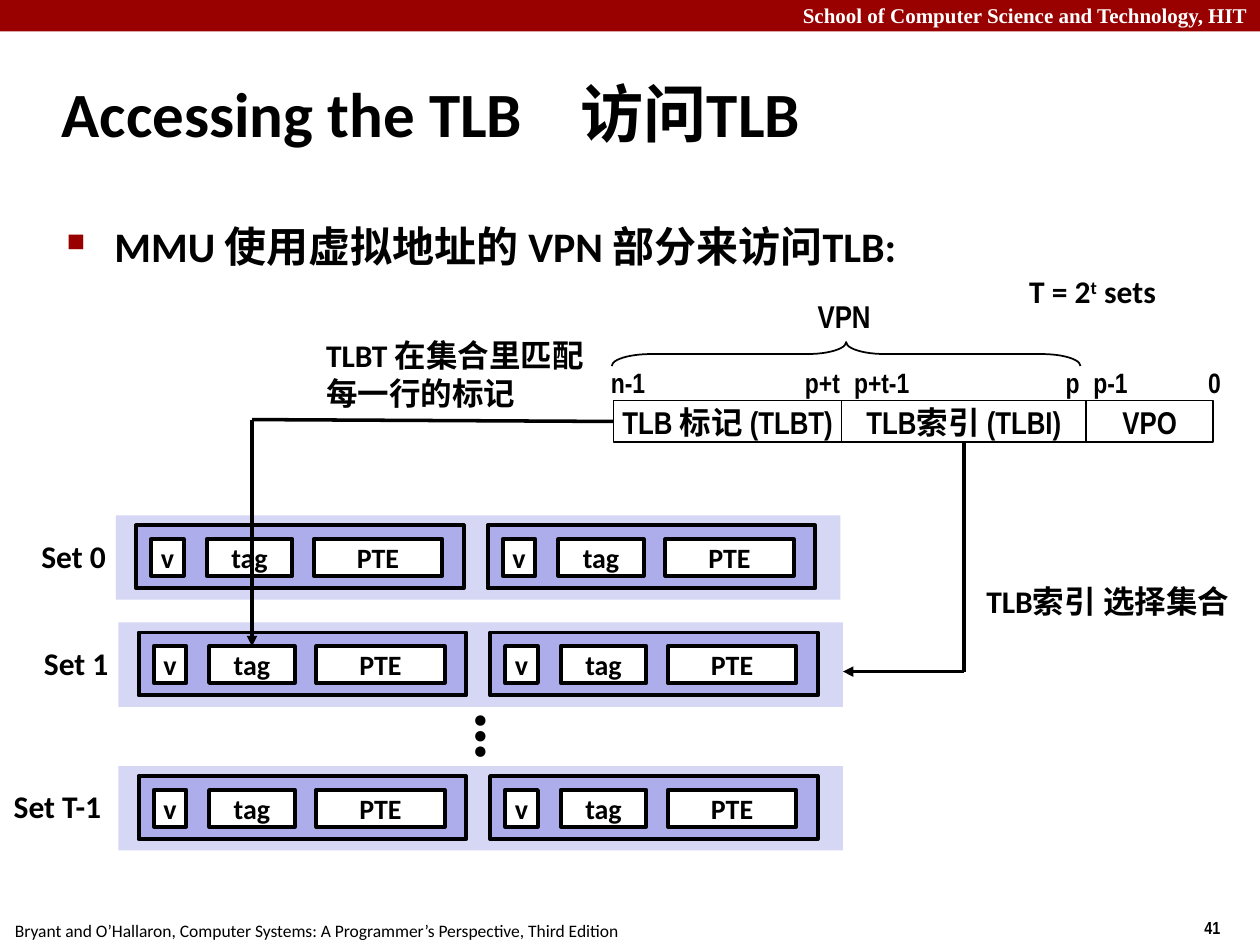
from itertools import accumulate
from lxml.etree import SubElement as Sub
from pptx import Presentation
from pptx.dml.color import RGBColor as RGB
from pptx.enum.shapes import MSO_CONNECTOR as Link, MSO_SHAPE as Form
from pptx.enum.text import MSO_ANCHOR as Anchor, MSO_AUTO_SIZE as Auto, PP_ALIGN as Align
from pptx.oxml.ns import qn
from pptx.util import Inches, Pt

BLACK = RGB(0x00, 0x00, 0x00)
WHITE = RGB(0xFF, 0xFF, 0xFF)
RED = RGB(0x99, 0x00, 0x00)
PALE = RGB(0xD6, 0xD6, 0xF5)
LILAC = RGB(0xAD, 0xAD, 0xEB)
SANS, SLIM, SERIF = "Calibri", "Arial Narrow", "Times New Roman"

WIDE, HIGH = 10, 7.5
TITLE = "Accessing the TLB\t访问TLB"
POINT = "MMU 使用虚拟地址的 VPN 部分来访问TLB:"
SCHOOL = "School of Computer Science and Technology, HIT"
BOOK = "Bryant and O’Hallaron, Computer Systems: A Programmer’s Perspective, Third Edition"
PAGE = "41"

FIELDS = [("TLB 标记 (TLBT)", 1.81), ("TLB索引 (TLBI)", 1.94), ("VPO", 1.01)]
FIELD_X, FIELD_Y, FIELD_H = 4.87, 3.18, 0.33
BITS = [("n-1", 4.75, 0.47), ("p+t", 6.29, 0.48), ("p+t-1", 6.68, 0.64),
        ("p", 8.36, 0.31), ("p-1", 8.58, 0.47), ("0", 9.49, 0.3)]

SETS = [("Set 0", 0.23, 0.71, 0.92, 4.09),
        ("Set 1", 0.25, 0.71, 0.94, 4.94),
        ("Set T-1", 0.01, 0.91, 0.94, 6.08)]
CELLS = [("v", 0.12, 0.26), ("tag", 0.56, 0.68), ("PTE", 1.41, 1.02)]
WAYS, STEP = 2, 2.79

NOTES = [("TLB索引 选择集合", 7.73, 4.57, 2.18, 0.4, False),
         ("TLBT 在集合里匹配每一行的标记", 2.49, 2.62, 2.26, 0.7, True)]

deck = Presentation()
deck.slide_width, deck.slide_height = Inches(WIDE), Inches(HIGH)
slide = deck.slides.add_slide(deck.slide_layouts[5])
shapes = slide.shapes


def add_run(para, text, size, font=SANS, color=BLACK, bold=True):
    run = para.add_run()
    run.text = text
    face = run.font
    face.size, face.name, face.bold = Pt(size), font, bold
    face.color.rgb = color
    return run


def add_text(text, x, y, w, h, size, font=SANS, color=BLACK, bold=True,
             wrap=False, align=Align.LEFT, anchor=Anchor.TOP):
    box = shapes.add_textbox(*map(Inches, (x, y, w, h)))
    frame = box.text_frame
    frame.word_wrap, frame.vertical_anchor = wrap, anchor
    para = frame.paragraphs[0]
    para.alignment = align
    add_run(para, text, size, font, color, bold)
    return box


def add_box(x, y, w, h, fill=None, line=0, text="", size=16, font=SANS):
    box = shapes.add_shape(Form.RECTANGLE, *map(Inches, (x, y, w, h)))
    box.shadow.inherit = False
    if fill is None:
        box.fill.background()
    else:
        box.fill.solid()
        box.fill.fore_color.rgb = fill
    if line:
        box.line.color.rgb = BLACK
        box.line.width = Pt(line)
    else:
        box.line.fill.background()
    if text:
        frame = box.text_frame
        frame.word_wrap, frame.vertical_anchor = False, Anchor.MIDDLE
        para = frame.paragraphs[0]
        para.alignment = Align.CENTER
        add_run(para, text, size, font)
    return box


def add_line(start, end, arrow=False):
    line = shapes.add_connector(Link.STRAIGHT, *map(Inches, start + end))
    line.line.color.rgb = BLACK
    line.line.width = Pt(2)
    if arrow:
        Sub(line.line._get_or_add_ln(), qn("a:tailEnd"), type="triangle")
    Sub(line._element.spPr, qn("a:effectLst"))
    return line


def add_set(name, label_x, label_w, x, y):
    add_box(x, y, 5.75, 0.67, PALE)
    boxes = []
    for way in range(WAYS):
        left, top = x + 0.16 + way * STEP, y + 0.08
        add_box(left, top, 2.6, 0.5, LILAC, 2.25)
        boxes += [add_box(left + dx, top + 0.11, w, 0.29, WHITE, 2.25, text)
                  for text, dx, w in CELLS]
    add_text(name, label_x, y + 0.12, label_w, 0.4, 18)
    return boxes


add_box(0, 0, WIDE, 0.25, RED)
add_text(PAGE, 9.46, 7.23, 0.75, 0.27, 10, SLIM)
add_text(BOOK, 0.02, 7.25, 5.01, 0.27, 10, bold=False)
add_text(SCHOOL, 0, -0.03, WIDE, 0.3, 12, SERIF, WHITE, wrap=True, align=Align.RIGHT)

title = shapes.title
title.left, title.top, title.width, title.height = map(Inches, (0.39, 0.48, 8.3, 0.83))
frame = title.text_frame
frame.auto_size, frame.vertical_anchor = Auto.NONE, Anchor.MIDDLE
para = frame.paragraphs[0]
para.alignment = Align.LEFT
tabs = Sub(para._p.get_or_add_pPr(), qn("a:tabLst"))
Sub(tabs, qn("a:tab"), pos=str(Inches(4.12)), algn="l")
add_run(para, TITLE, 36)

point = add_text(POINT, 0.43, 1.7, 8.64, 0.62, 24, wrap=True)
props = point.text_frame.paragraphs[0]._p.get_or_add_pPr()
props.set("marL", str(Inches(0.38)))
props.set("indent", str(-Inches(0.38)))
Sub(Sub(props, qn("a:buClr")), qn("a:srgbClr"), val=str(RED))
Sub(props, qn("a:buSzPct"), val="60000")
Sub(props, qn("a:buChar"), char="■")

edges = accumulate((w for _, w in FIELDS), initial=FIELD_X)
fields = [add_box(x, FIELD_Y, w, FIELD_H, None, 1, text, 18, SLIM)
          for x, (text, w) in zip(edges, FIELDS)]
for text, x, w in BITS:
    add_text(text, x, 2.85, w, 0.37, 16, SLIM, anchor=Anchor.MIDDLE)

brace = shapes.add_shape(Form.LEFT_BRACE, *map(Inches, (6.62, 0.95, 0.19, 3.72)))
brace.rotation = 90
brace.adjustments[0] = 1.63
brace.shadow.inherit = False
brace.fill.background()
brace.line.color.rgb = BLACK
brace.line.width = Pt(1)
add_text("VPN", 6.39, 2.31, 0.62, 0.4, 18, SLIM, anchor=Anchor.MIDDLE)

rows = [add_set(*row) for row in SETS]
dots = add_text("…", 3.34, 5.46, 0.59, 0.77, 40)
dots.rotation = 270

count = add_text("T = 2", 8.07, 2.11, 1.25, 0.4, 18, wrap=True)
para = count.text_frame.paragraphs[0]
power = add_run(para, "t", 18)
power._r.get_or_add_rPr().set("baseline", "30000")
add_run(para, " sets", 18)

add_line((7.65, 3.51), (7.65, 5.33)).begin_connect(fields[1], 2)
add_line((7.65, 5.33), (6.69, 5.33), True)
add_line((4.87, 3.35), (2, 3.33)).begin_connect(fields[0], 1)
add_line((2, 3.33), (2.01, 5.14), True).end_connect(rows[1][1], 0)
for text, x, y, w, h, wrap in NOTES:
    add_text(text, x, y, w, h, 18, wrap=wrap)

deck.save("out.pptx")
